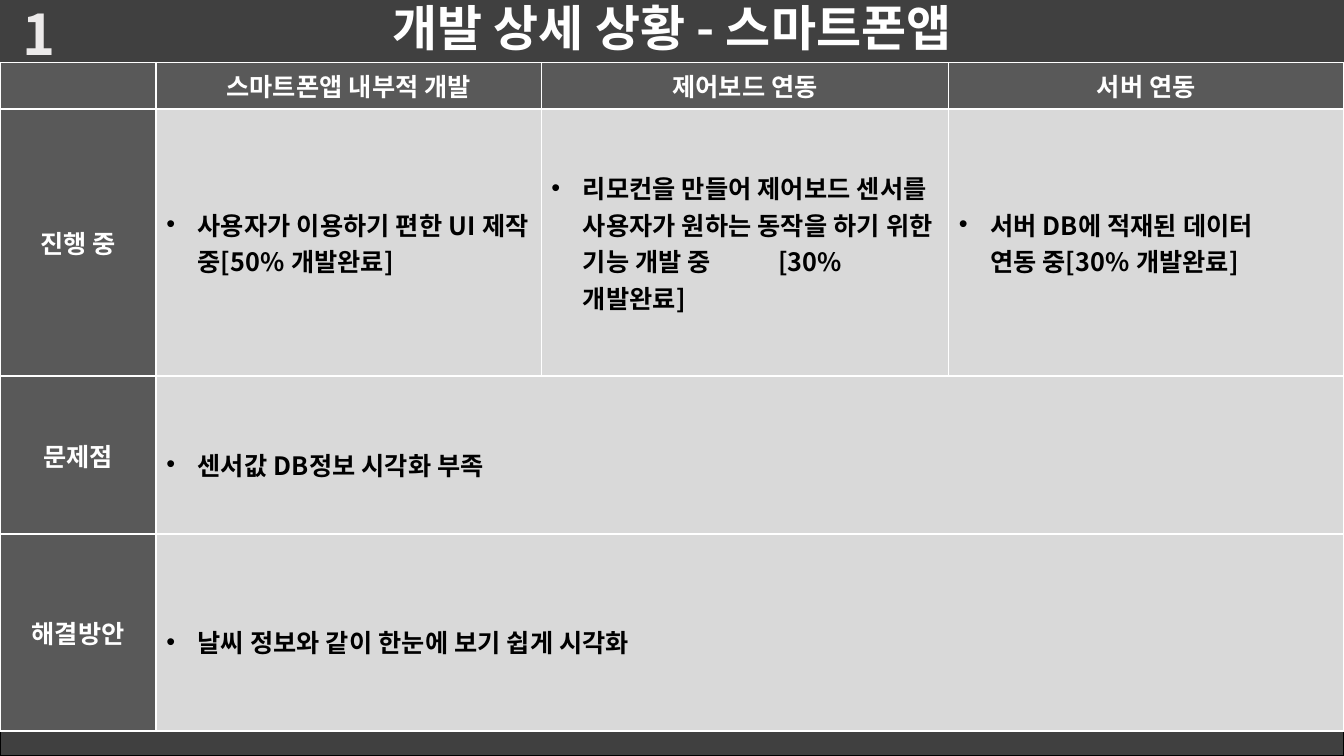
from lxml import etree
from pptx import Presentation, util as u
from pptx.dml.color import RGBColor
from pptx.enum import shapes, text
from pptx.oxml import ns

FONT = "Noto Sans CJK KR"
WHITE, BLACK, BAND, HEAD, BODY = "FFFFFF", "000000", "404040", "595959", "D9D9D9"
WIDTH, HEIGHT = 13.33, 7.5


def add_xml(parent, tag, **attributes):
    return etree.SubElement(parent, ns.qn(tag), attributes)


def write(frame, content, size=18, color=WHITE, align="CENTER", spacing=None,
          tracking=0, bullet=False, tab=None):
    paragraph = frame.paragraphs[0]
    if bullet:
        properties = paragraph._p.get_or_add_pPr()
        indent = u.Inches(0.31)
        properties.set("marL", str(indent))
        properties.set("indent", str(-indent))
        add_xml(properties, "a:buFont", typeface="Arial")
        add_xml(properties, "a:buChar", char="•")
        if tab:
            stops = add_xml(properties, "a:tabLst")
            add_xml(stops, "a:tab", pos=str(u.Inches(tab)), algn="l")
    paragraph.text = content
    paragraph.alignment = text.PP_ALIGN[align]
    if spacing:
        paragraph.line_spacing = spacing
    for run in paragraph.runs:
        run.font.size, run.font.bold, run.font.name = u.Pt(size), True, FONT
        run.font.color.rgb = RGBColor.from_string(color)
        add_xml(run.font._element, "a:ea", typeface=FONT)
        run.font._element.set("spc", str(round(tracking * 100)))


presentation = Presentation()
presentation.slide_width, presentation.slide_height = u.Inches(WIDTH), u.Inches(HEIGHT)
slide = presentation.slides.add_slide(presentation.slide_layouts[6])

# Title band and footer band
bands = []
for top, height in [(-0.04, 0.68), (7.25, 0.25)]:
    band = slide.shapes.add_shape(shapes.MSO_SHAPE.RECTANGLE, 0, u.Inches(top),
                                  u.Inches(WIDTH), u.Inches(height))
    band.shadow.inherit = False
    band.fill.solid()
    band.fill.fore_color.rgb = RGBColor.from_string(BAND)
    bands.append(band)
title, footer = bands
title.line.fill.background()
footer.line.color.rgb = RGBColor.from_string(BLACK)
footer.line.width = u.Pt(1)
title.text_frame.vertical_anchor = text.MSO_ANCHOR.MIDDLE
write(title.text_frame, "개발 상세 상황 - 스마트폰앱", size=35, spacing=0.9)

# Page number
number = slide.shapes.add_textbox(u.Inches(-0.04), u.Inches(-0.05), u.Inches(0.85), u.Inches(0.77))
number.text_frame.word_wrap = False
write(number.text_frame, "1", size=40, color="ECEAEA")

# Status table
column_widths = [1.55, 3.82, 4.04, 3.92]
row_heights = [0.46, 2.65, 1.57, 1.95]
rows = [
    ["", "스마트폰앱 내부적 개발", "제어보드 연동", "서버 연동"],
    ["진행 중",
     "사용자가 이용하기 편한 UI 제작 중[50% 개발완료]",
     "리모컨을 만들어 제어보드 센서를 사용자가 원하는 동작을 하기 위한 기능 개발 중\t[30% 개발완료]",
     "서버 DB에 적재된 데이터\v연동 중[30% 개발완료]"],
    ["문제점", "센서값 DB정보 시각화 부족"],
    ["해결방안", "날씨 정보와 같이 한눈에 보기 쉽게 시각화"],
]
table = slide.shapes.add_table(len(rows), len(column_widths), 0, u.Inches(0.62),
                               u.Inches(WIDTH), u.Inches(sum(row_heights))).table
table.first_row = table.horz_banding = False
for column, width in zip(table.columns, column_widths):
    column.width = u.Inches(width)
for row, height in zip(table.rows, row_heights):
    row.height = u.Inches(height)

for r, labels in enumerate(rows):
    for c in range(len(column_widths)):
        cell = table.cell(r, c)
        heading = r == 0 or c == 0
        # Thicker rules between rows and beside the heading column
        borders = {"L": 1.5 if c == 1 else 1, "R": 1.5 if c == 0 else 1,
                   "T": 1 if r == 0 else 1.5, "B": 1.5}
        for side, points in borders.items():
            line = add_xml(cell._tc.get_or_add_tcPr(), f"a:ln{side}", w=str(u.Pt(points)))
            add_xml(add_xml(line, "a:solidFill"), "a:srgbClr", val=WHITE)
        cell.fill.solid()
        cell.fill.fore_color.rgb = RGBColor.from_string(HEAD if heading else BODY)
        cell.vertical_anchor = text.MSO_ANCHOR.MIDDLE
        if c < len(labels) and labels[c]:
            write(cell.text_frame, labels[c], color=WHITE if heading else BLACK,
                  align="CENTER" if heading else "LEFT", bullet=not heading,
                  spacing=1.5 if r > 1 and c else None, tracking=0.1 if c else 0,
                  tab=2.25 if "\t" in labels[c] else None)
    if len(labels) == 2:
        table.cell(r, 1).merge(table.cell(r, 3))

presentation.save("out.pptx")
